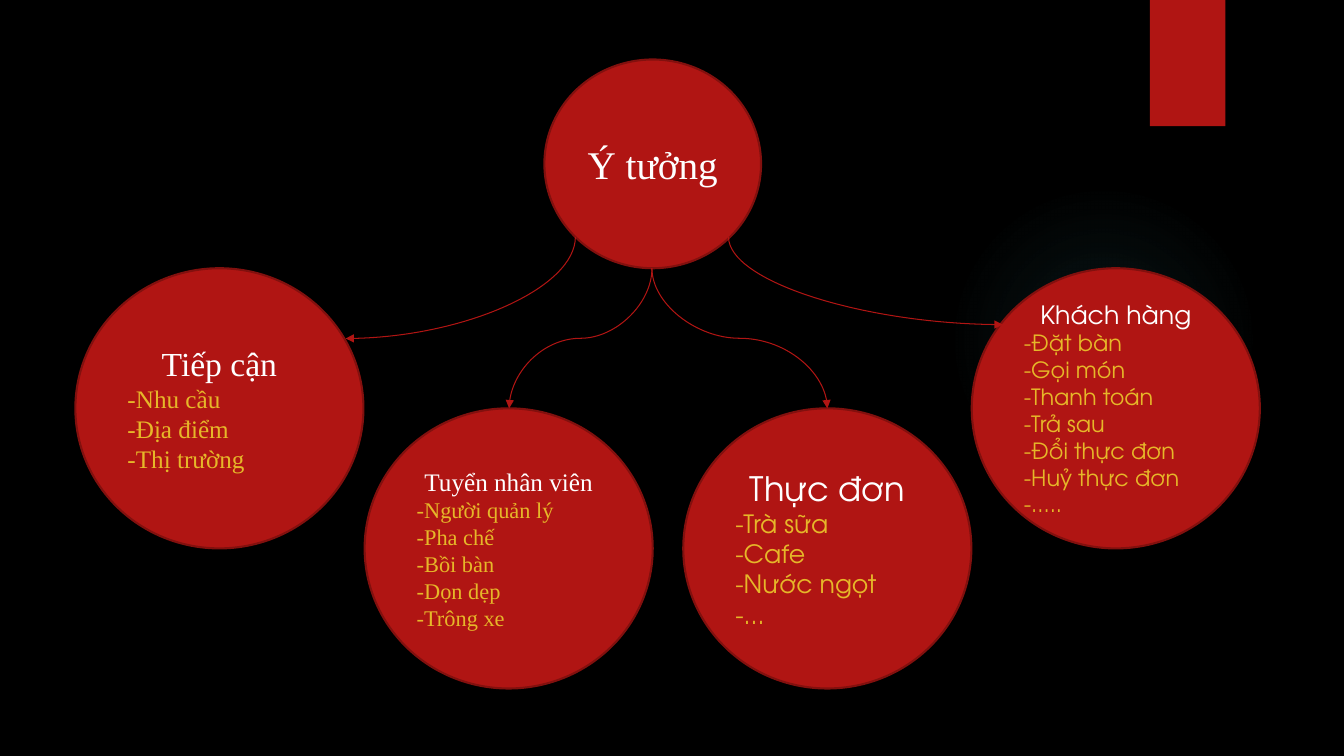
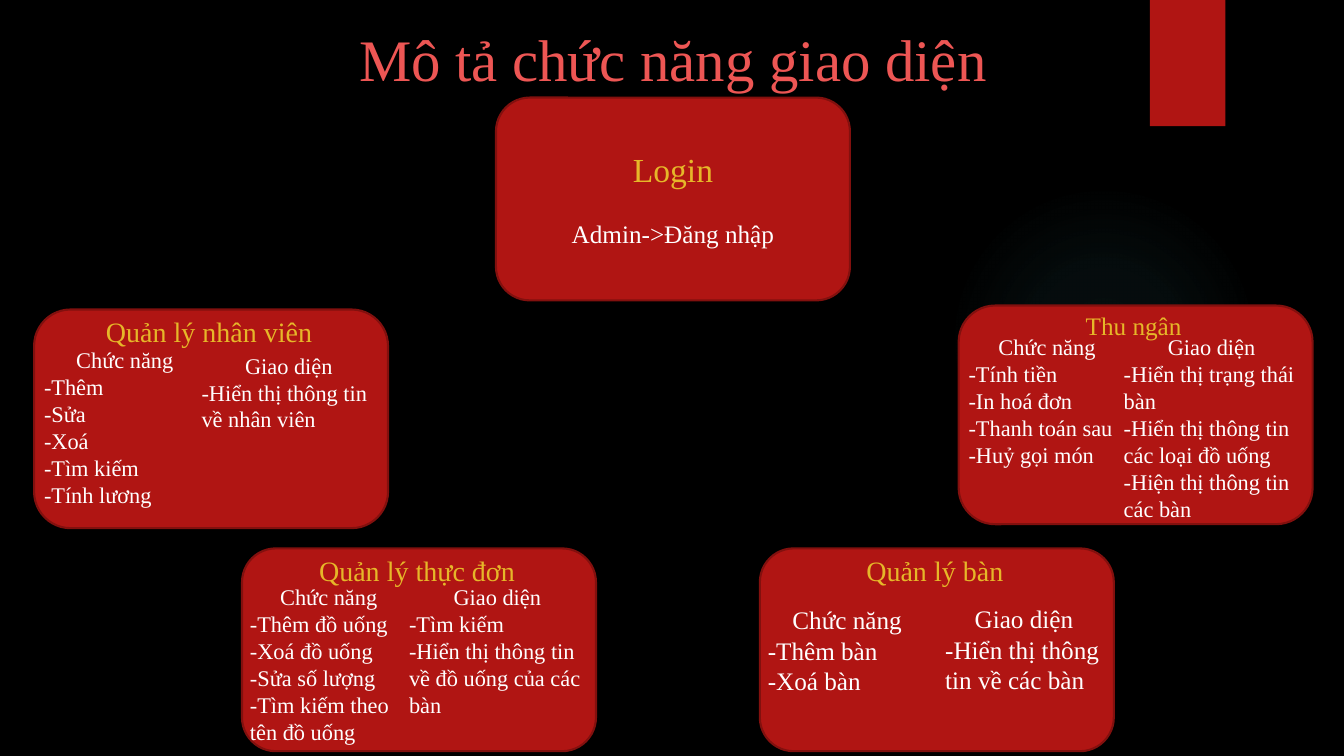
from lxml import etree
from pptx import Presentation
from pptx import util as u
from pptx.dml.color import RGBColor
from pptx.enum import shapes, text
from pptx.oxml import ns

BLACK = RGBColor(0x00, 0x00, 0x00)
WHITE = RGBColor(0xFF, 0xFF, 0xFF)
RED = RGBColor(0xB0, 0x15, 0x13)
DARK_RED = RGBColor(0x82, 0x10, 0x0E)
CORAL = RGBColor(0xED, 0x56, 0x54)
GOLD = RGBColor(0xE6, 0xB7, 0x29)
TEAL = RGBColor(0x50, 0xB9, 0xC1)

SERIF = "Times New Roman"
SANS = "TeX Gyre Adventor"
TITLE_ONLY, BLANK = 5, 6
CENTER, LEFT = text.PP_ALIGN.CENTER, text.PP_ALIGN.LEFT


def cm(*lengths):
    return [u.Cm(length) for length in lengths]


def add_xml(parent, tag, **attributes):
    return etree.SubElement(parent, ns.qn(tag), **attributes)


def write(frame, words, size=16, color=WHITE, font=SERIF, align=LEFT, before=0):
    """Add one paragraph, using the empty first one when it is free."""
    para = frame.paragraphs[0]
    if para.runs:
        para = frame.add_paragraph()
    para.alignment = align
    para.space_before = u.Pt(before)
    span = para.add_run()
    span.text = words
    span.font.size = u.Pt(size)
    span.font.name = font
    span.font.color.rgb = color


class Builder:
    """The shared look of the deck and the slide in progress."""

    def __init__(self):
        self.deck = Presentation()
        self.deck.slide_width, self.deck.slide_height = cm(33.87, 19.05)
        background = self.deck.slide_master.background.fill
        background.solid()
        background.fore_color.rgb = BLACK
        self.page = None

    def new_page(self, title=None):
        layout = BLANK if title is None else TITLE_ONLY
        self.page = self.deck.slides.add_slide(self.deck.slide_layouts[layout])
        self.glow()
        self.shape(shapes.MSO_SHAPE.RECTANGLE, (28.98, 0, 1.9, 3.18), fill=RED)
        if title is not None:
            box = self.page.shapes.title
            box.left, box.top, box.width, box.height = cm(1.9, 0.46, 30.12, 2)
            box.text_frame.auto_size = text.MSO_AUTO_SIZE.NONE
            box.text_frame.vertical_anchor = text.MSO_ANCHOR.MIDDLE
            write(box.text_frame, title, size=42, color=CORAL, align=CENTER)

    def shape(self, kind, place, fill=None, outline=None):
        shape = self.page.shapes.add_shape(kind, *cm(*place))
        shape.shadow.inherit = False
        if fill is not None:
            shape.fill.solid()
            shape.fill.fore_color.rgb = fill
        if outline is None:
            shape.line.fill.background()
        else:
            shape.line.color.rgb = outline
            shape.line.width = u.Pt(1.5)
        shape.text_frame.word_wrap = True
        shape.text_frame.vertical_anchor = text.MSO_ANCHOR.MIDDLE
        return shape

    def glow(self):
        """A faint round light that fades outwards."""
        disc = self.shape(shapes.MSO_SHAPE.OVAL, (23.9, 4.65, 7.82, 7.82))
        gradient = etree.Element(ns.qn("a:gradFill"), rotWithShape="1")
        stops = add_xml(gradient, "a:gsLst")
        for position, alpha in ((0, 7), (36, 6), (69, 0)):
            stop = add_xml(stops, "a:gs", pos=str(position * 1000))
            color = add_xml(stop, "a:srgbClr", val=str(TEAL))
            add_xml(color, "a:alpha", val=str(alpha * 1000))
        radial = add_xml(gradient, "a:path", path="circle")
        add_xml(radial, "a:fillToRect", l="50000", t="50000", r="50000", b="50000")
        disc.element.spPr.find(ns.qn("a:prstGeom")).addnext(gradient)

    def circle(self, place, heading, size, items=(), item_size=16, font=SERIF):
        frame = self.shape(shapes.MSO_SHAPE.OVAL, place, RED, DARK_RED).text_frame
        write(frame, heading, size=size, font=font, align=CENTER)
        for item in items:
            write(frame, item, size=item_size, color=GOLD, font=font)

    def panel(self, place):
        return self.shape(shapes.MSO_SHAPE.ROUNDED_RECTANGLE, place, RED, DARK_RED)

    def text_box(self, place, heading, items=(), size=16, color=WHITE):
        frame = self.page.shapes.add_textbox(*cm(*place)).text_frame
        frame.word_wrap = True
        frame.auto_size = text.MSO_AUTO_SIZE.SHAPE_TO_FIT_TEXT
        write(frame, heading, size=size, color=color, align=CENTER)
        for item in items:
            write(frame, item, size=size)

    def curve(self, start, end, preset):
        """A curved arrow that leaves its start downwards."""
        (x1, y1), (x2, y2) = start, end
        across, down = abs(x2 - x1), abs(y2 - y1)
        arrow = self.page.shapes.add_connector(
            shapes.MSO_CONNECTOR.CURVE, *cm(0, 0, 1, 1))
        # The frame is turned a quarter, so its width and height swap
        arrow.left, arrow.top, arrow.width, arrow.height = cm(
            (x1 + x2 - down) / 2, (y1 + y2 - across) / 2, down, across)
        arrow.line.color.rgb = RED
        arrow.line.width = u.Pt(0.75)
        properties = arrow.element.spPr
        frame = properties.find(ns.qn("a:xfrm"))
        frame.set("rot", str((90 if x2 < x1 else 270) * 60000))
        if x2 > x1:
            frame.set("flipH", "1")
        properties.find(ns.qn("a:prstGeom")).set("prst", preset)
        add_xml(properties.find(ns.qn("a:ln")), "a:tailEnd", type="triangle")
        add_xml(properties, "a:effectLst")


def idea_page(builder):
    builder.new_page()

    # Central idea and its four branches
    builder.circle((13.72, 1.5, 5.46, 5.26), "Ý tưởng", 28)
    branches = [
        (1.9, 6.76, "Tiếp cận", 24, 18, SERIF,
         ["-Nhu cầu", "-Địa điểm", "-Thị trường"]),
        (9.19, 10.29, "Tuyển nhân viên", 18, 16, SERIF,
         ["-Người quản lý", "-Pha chế", "-Bồi bàn", "-Dọn dẹp", "-Trông xe"]),
        (17.22, 10.29, "Thực đơn", 24, 18, SANS,
         ["-Trà sữa", "-Cafe", "-Nước ngọt", "-..."]),
        (24.49, 6.76, "Khách hàng", 18, 16, SANS,
         ["-Đặt bàn", "-Gọi món", "-Thanh toán", "-Trả sau",
          "-Đổi thực đơn", "-Huỷ thực đơn", "-....."]),
    ]
    for left, top, heading, size, item_size, font, items in branches:
        builder.circle((left, top, 7.26, 7.06), heading, size, items, item_size, font)

    # Arrows from the idea to each branch
    bottom = (16.43, 6.76)
    builder.curve((14.5, 5.97), (8.71, 8.53), "curvedConnector2")
    builder.curve(bottom, (12.83, 10.29), "curvedConnector3")
    builder.curve(bottom, (20.85, 10.29), "curvedConnector3")
    builder.curve((18.36, 5.97), (25.27, 8.18), "curvedConnector2")


def function_page(builder):
    builder.new_page("Mô tả chức năng giao diện")
    panel_width = 8.92

    # Login panel
    login = builder.panel((12.5, 2.46, panel_width, 5.11)).text_frame
    write(login, "Login", size=24, color=GOLD, align=CENTER)
    write(login, "Admin->Đăng nhập", size=18, align=CENTER, before=20.7)

    # Panels: left, top, height, heading, its size, column size,
    # then the place and items of the function and interface columns
    panels = [
        (0.86, 7.8, 5.51, "Quản lý nhân viên", 20, 16,
         (0.86, 8.61, 4.57, 4.37),
         ["-Thêm", "-Sửa", "-Xoá", "-Tìm kiếm", "-Tính lương"],
         (4.83, 8.74, 4.9, 2.31),
         ["-Hiển thị thông tin về nhân viên"]),
        (24.16, 7.7, 5.51, "Thu ngân", 18, 16,
         (24.16, 8.28, 4.45, 3.68),
         ["-Tính tiền", "-In hoá đơn", "-Thanh toán sau", "-Huỷ gọi món"],
         (28.07, 8.28, 4.93, 5.05),
         ["-Hiển thị trạng thái bàn", "-Hiển thị thông tin các loại đồ uống",
          "-Hiện thị thông tin các bàn"]),
        (19.15, 13.82, 5.11, "Quản lý bàn", 20, 18,
         (19.1, 15.11, 4.5, 2.57),
         ["-Thêm bàn", "-Xoá bàn"],
         (23.57, 15.09, 4.47, 2.57),
         ["-Hiển thị thông tin về các bàn"]),
        (6.1, 13.82, 5.11, "Quản lý thực đơn", 20, 16,
         (6.05, 14.58, 4.47, 4.37),
         ["-Thêm đồ uống", "-Xoá đồ uống", "-Sửa số lượng",
          "-Tìm kiếm theo tên đồ uống"],
         (10.06, 14.58, 4.95, 3.68),
         ["-Tìm kiếm", "-Hiển thị thông tin về đồ uống của các bàn"]),
    ]
    for (left, top, height, heading, heading_size, size,
         function_place, functions, interface_place, interfaces) in panels:
        builder.panel((left, top, panel_width, height))
        builder.text_box((left - 0.05, top, panel_width, 1.12), heading,
                         size=heading_size, color=GOLD)
        builder.text_box(function_place, "Chức năng", functions, size)
        builder.text_box(interface_place, "Giao diện", interfaces, size)


def main():
    builder = Builder()
    idea_page(builder)
    function_page(builder)
    builder.deck.save("out.pptx")


if __name__ == "__main__":
    main()
